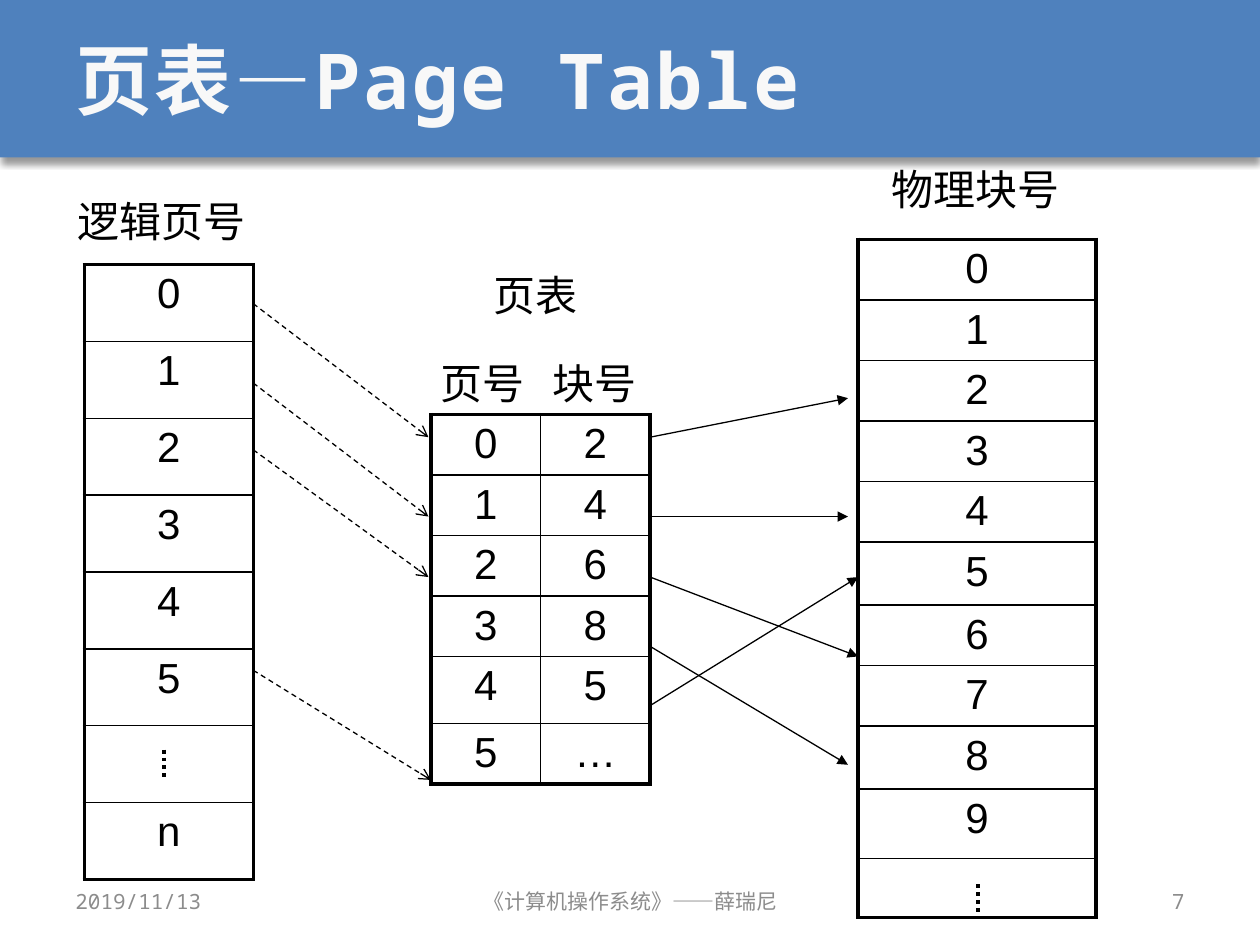
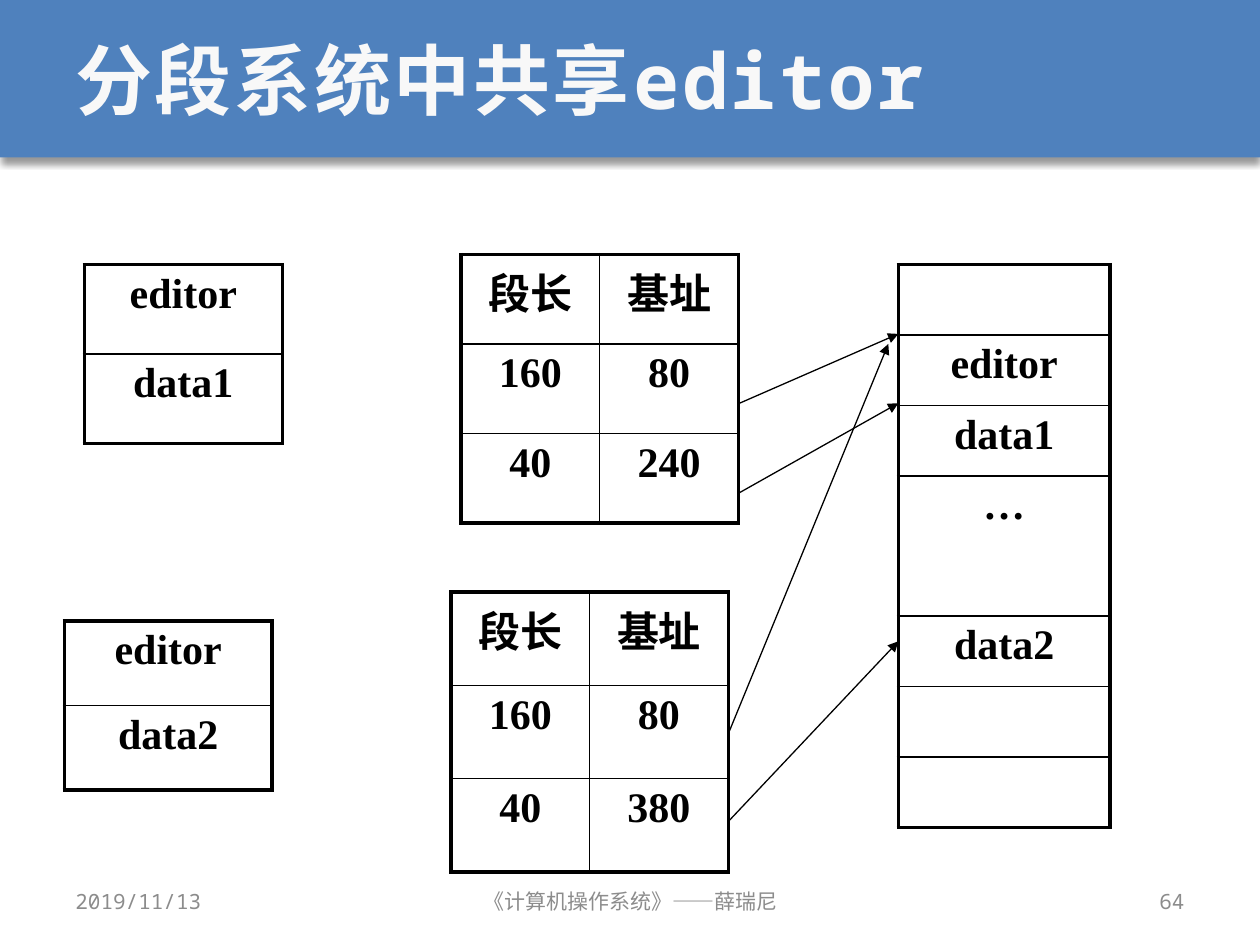
from dataclasses import dataclass
from typing import Any, Optional

import lxml.etree
import pptx
import pptx.dml.color
import pptx.enum.dml
import pptx.enum.shapes
import pptx.enum.text
import pptx.oxml
import pptx.oxml.ns
import pptx.util

Inches = pptx.util.Inches
Pt = pptx.util.Pt
RGBColor = pptx.dml.color.RGBColor
Align = pptx.enum.text.PP_ALIGN
Anchor = pptx.enum.text.MSO_ANCHOR
Dash = pptx.enum.dml.MSO_LINE
qn = pptx.oxml.ns.qn

BAND_BLUE = RGBColor(0x4F, 0x81, 0xBD)
TITLE_WHITE = RGBColor(0xF8, 0xF8, 0xF8)
INK = RGBColor(0, 0, 0)
FOOTER_GREY = RGBColor(0x8C, 0x8C, 0x8C)
CJK_FONT = "Noto Sans CJK SC"
OUTER_BORDER, INNER_BORDER = Pt(2.25), Pt(1)
BAND_HEIGHT = 1.25


@dataclass(frozen=True)
class TextStyle:
    font: str
    size: float
    color: RGBColor = INK
    bold: bool = False
    spacing: float = 0


TITLE = TextStyle("Noto Sans Mono", 44, TITLE_WHITE, True, 1.5)
FOOTER = TextStyle("Noto Sans Mono", 12, FOOTER_GREY)
LABEL = TextStyle(CJK_FONT, 24)
NUMBER = TextStyle("Arial", 24)
SEGMENT = TextStyle("Times New Roman", 24, INK, True)


@dataclass(frozen=True)
class Caption:
    text: str
    left: float
    top: float
    width: float
    height: float = 0.5
    style: TextStyle = LABEL
    align: Align = Align.LEFT
    anchor: Anchor = Anchor.TOP
    wrap: bool = False


@dataclass(frozen=True)
class MemoryTable:
    left: float
    top: float
    column_width: float
    row_heights: list[float]
    rows: list[list[str]]
    style: TextStyle


@dataclass(frozen=True)
class Link:
    x1: float
    y1: float
    x2: float
    y2: float
    head: Optional[str] = "triangle"
    dash: Optional[Dash] = None
    width: float = 0.75


def style_paragraph(paragraph: Any, style: TextStyle, align: Align) -> None:
    paragraph.alignment = align
    for run in paragraph.runs:
        run.font.name = style.font
        run.font.size = Pt(style.size)
        run.font.bold = style.bold
        run.font.color.rgb = style.color
        properties = run._r.get_or_add_rPr()
        if style.spacing:
            properties.set("spc", str(round(style.spacing * 100)))
        lxml.etree.SubElement(properties, qn("a:ea"), typeface=CJK_FONT)


def draw_caption(slide: Any, caption: Caption) -> None:
    box = slide.shapes.add_textbox(
        Inches(caption.left), Inches(caption.top), Inches(caption.width), Inches(caption.height)
    )
    frame = box.text_frame
    frame.word_wrap = caption.wrap
    frame.vertical_anchor = caption.anchor
    frame.text = caption.text
    style_paragraph(frame.paragraphs[0], caption.style, caption.align)


def draw_band(slide: Any) -> None:
    band = slide.shapes.add_shape(
        pptx.enum.shapes.MSO_SHAPE.RECTANGLE, 0, 0, Inches(10), Inches(BAND_HEIGHT)
    )
    band.fill.solid()
    band.fill.fore_color.rgb = BAND_BLUE
    band.line.fill.background()
    band.shadow.inherit = False
    effects = band.element.spPr.find(qn("a:effectLst"))
    shadow = lxml.etree.SubElement(
        effects, qn("a:outerShdw"), blurRad=str(Pt(4)), dist=str(Pt(3)),
        dir="5400000", algn="t", rotWithShape="0",
    )
    color = lxml.etree.SubElement(shadow, qn("a:srgbClr"), val=str(INK))
    lxml.etree.SubElement(color, qn("a:alpha"), val="40000")


def add_border(cell_properties: Any, index: int, side: str, outer: bool) -> None:
    width = OUTER_BORDER if outer else INNER_BORDER
    border = pptx.oxml.parse_xml(
        f'<a:{side} {pptx.oxml.ns.nsdecls("a")} w="{int(width)}">'
        f'<a:solidFill><a:srgbClr val="{INK}"/></a:solidFill></a:{side}>'
    )
    cell_properties.insert(index, border)


def draw_table(slide: Any, memory: MemoryTable) -> None:
    row_count, column_count = len(memory.rows), len(memory.rows[0])
    table = slide.shapes.add_table(
        row_count, column_count, Inches(memory.left), Inches(memory.top),
        Inches(memory.column_width * column_count), Inches(sum(memory.row_heights)),
    ).table
    table.first_row = False
    table.horz_banding = False
    for column in table.columns:
        column.width = Inches(memory.column_width)
    for r, (height, texts) in enumerate(zip(memory.row_heights, memory.rows)):
        table.rows[r].height = Inches(height)
        for c, text in enumerate(texts):
            cell = table.cell(r, c)
            cell.margin_bottom = Inches(0.03)
            cell.fill.background()
            cell.text_frame.text = text
            style_paragraph(cell.text_frame.paragraphs[0], memory.style, Align.CENTER)
            edges = {
                "lnL": c == 0,
                "lnR": c == column_count - 1,
                "lnT": r == 0,
                "lnB": r == row_count - 1,
            }
            for index, (side, outer) in enumerate(edges.items()):
                add_border(cell._tc.get_or_add_tcPr(), index, side, outer)


def draw_link(slide: Any, link: Link) -> None:
    connector = slide.shapes.add_connector(
        pptx.enum.shapes.MSO_CONNECTOR.STRAIGHT,
        Inches(link.x1), Inches(link.y1), Inches(link.x2), Inches(link.y2),
    )
    connector.line.color.rgb = INK
    connector.line.width = Pt(link.width)
    if link.dash:
        connector.line.dash_style = link.dash
    properties = connector.element.spPr
    if link.head:
        lxml.etree.SubElement(properties.find(qn("a:ln")), qn("a:tailEnd"), type=link.head)
    lxml.etree.SubElement(properties, qn("a:effectLst"))


def add_slide(
    deck: Any, title: str, number: int,
    tables: list[MemoryTable], captions: list[Caption], links: list[Link],
) -> None:
    slide = deck.slides.add_slide(deck.slide_layouts[6])
    draw_band(slide)
    draw_caption(slide, Caption(title, 0.5, 0, 9, BAND_HEIGHT, TITLE, anchor=Anchor.MIDDLE, wrap=True))
    for memory in tables:
        draw_table(slide, memory)
    for caption in captions:
        draw_caption(slide, caption)
    for link in links:
        draw_link(slide, link)
    for text, left, width, align in (
        ("2019/11/13", 0.5, 2.33, Align.LEFT),
        ("《计算机操作系统》——薛瑞尼", 3.42, 3.17, Align.CENTER),
        (str(number), 7.17, 2.33, Align.RIGHT),
    ):
        draw_caption(slide, Caption(text, left, 6.95, width, 0.4, FOOTER, align, Anchor.MIDDLE, True))


def single_column(texts: list[str]) -> list[list[str]]:
    return [[text] for text in texts]


def add_page_table_slide(deck: Any) -> None:
    row = 0.47
    logical_pages = single_column([*map(str, range(6)), "", "n"])
    page_table = [[str(page), block] for page, block in enumerate("24685…")]
    physical_blocks = single_column([*map(str, range(10)), ""])
    tables = [
        MemoryTable(0.67, 2.1, 1.34, [0.61] * 8, logical_pages, NUMBER),
        MemoryTable(3.42, 3.29, 0.87, [row] * 4 + [0.53, row], page_table, NUMBER),
        MemoryTable(6.81, 1.9, 1.89, [row] * 5 + [0.5, row, row, 0.5, 0.55, row],
                    physical_blocks, NUMBER),
    ]
    captions = [
        Caption("逻辑页号", 0.52, 1.5, 1.55),
        Caption("页表", 3.82, 2.09, 0.87),
        Caption("页号", 3.4, 2.79, 0.87),
        Caption("块号", 4.29, 2.79, 0.87),
        Caption("物理块号", 6.98, 1.25, 1.55),
    ]
    omitted_rows = [
        Link(x, top, x, top + 0.24, None, Dash.ROUND_DOT, 2.25)
        for x, top in ((1.3, 5.95), (7.76, 7.02))
    ]
    block_links = [
        Link(5.16, start, x, end)
        for start, x, end in (
            (3.47, 6.73, 3.16), (4.1, 6.73, 4.1), (4.58, 6.81, 5.21),
            (5.13, 6.73, 6.07), (5.6, 6.81, 4.58),
        )
    ]
    page_links = [
        Link(2.01, start, x, end, "arrow", Dash.DASH)
        for start, x, end in (
            (2.41, 3.4, 3.47), (3.04, 3.4, 4.1), (3.57, 3.4, 4.58), (5.32, 3.42, 6.19),
        )
    ]
    add_slide(deck, "页表—Page Table", 7, tables, captions, omitted_rows + block_links + page_links)


def add_shared_editor_slide(deck: Any) -> None:
    row = 0.56
    tables = [
        MemoryTable(0.67, 2.1, 1.57, [0.71] * 2, single_column(["editor", "data1"]), SEGMENT),
        MemoryTable(0.51, 4.93, 1.65, [0.67] * 2, single_column(["editor", "data2"]), SEGMENT),
    ]
    for left, top, height, data_base in ((3.66, 2.02, 0.71, "240"), (3.58, 4.7, 0.74, "380")):
        segments = [["段长", "基址"], ["160", "80"], ["40", data_base]]
        tables.append(MemoryTable(left, top, 1.1, [height] * 3, segments, SEGMENT))
    memory = single_column(["", "editor", "data1", "…", "data2", "", ""])
    tables.append(MemoryTable(7.13, 2.1, 1.68, [row] * 3 + [1.11] + [row] * 3, memory, SEGMENT))
    links = [
        Link(5.87, 3.2, 7.13, 2.65),
        Link(5.87, 3.91, 7.13, 3.2),
        Link(5.79, 5.8, 7.05, 2.73),
        Link(5.79, 6.51, 7.13, 5.09),
    ]
    add_slide(deck, "分段系统中共享editor", 64, tables, [], links)


def main() -> None:
    deck = pptx.Presentation()
    deck.slide_width = Inches(10)
    deck.slide_height = Inches(7.5)
    add_page_table_slide(deck)
    add_shared_editor_slide(deck)
    deck.save("out.pptx")


if __name__ == "__main__":
    main()
